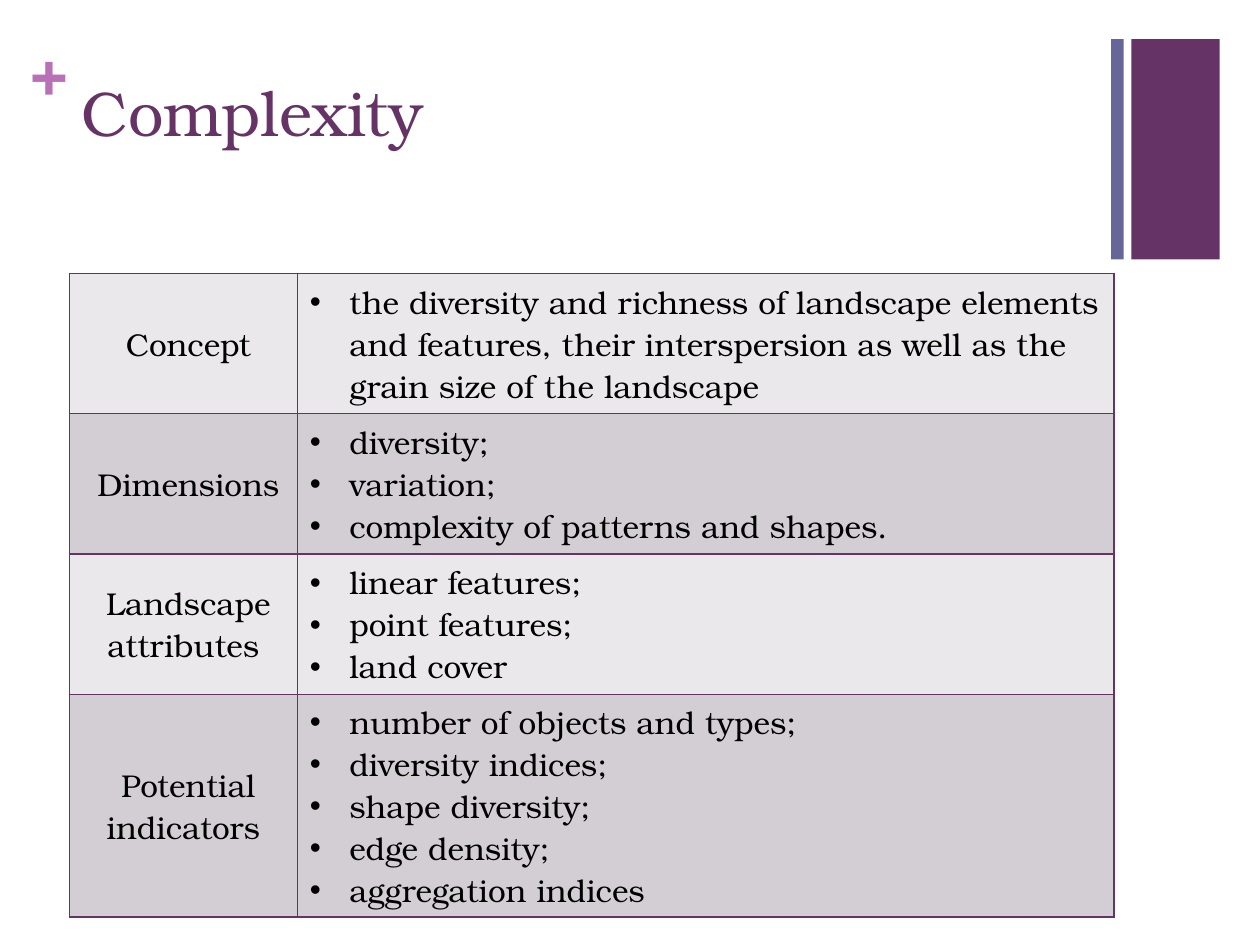
from dataclasses import dataclass

from lxml import etree
from pptx import Presentation
from pptx.dml.color import RGBColor
from pptx.enum import shapes, text
from pptx.oxml import ns
from pptx.util import Pt


@dataclass(frozen=True)
class Theme:
    font: str = "TeX Gyre Bonum"
    plum: str = "663366"
    slate: str = "666699"
    orchid: str = "B870B8"
    ink: str = "000000"
    bands: tuple = ("EAE8EA", "D3CED3")
    head: int = 36
    body: int = 18


THEME = Theme()

ROWS = [
    (" Concept", ["the diversity and richness of landscape elements and features, "
                  "their interspersion as well as the grain size of the landscape"]),
    (" Dimensions", ["diversity;", "variation;", "complexity of patterns and shapes."]),
    (" Landscape attributes", ["linear features;", "point features;", "land cover"]),
    (" Potential indicators", ["number of objects and types;", "diversity indices;",
                               "shape diversity;", "edge density;", "aggregation indices"]),
]


def style(frame, size, color, bold=False):
    for para in frame.paragraphs:
        for run in para.runs:
            font = run.font
            font.name, font.size, font.bold = THEME.font, Pt(size), bold
            font.color.rgb = RGBColor.from_string(color)


def add_bars(slide, left, top, width, height):
    """Draw the thin and the wide bar, split by a gap."""
    thin, gap = 7.2, 4.3
    wide = width - thin - gap
    for x, w, color in ((left, thin, THEME.slate), (left + thin + gap, wide, THEME.plum)):
        bar = slide.shapes.add_shape(
            shapes.MSO_SHAPE.RECTANGLE, Pt(x), Pt(top), Pt(w), Pt(height))
        bar.shadow.inherit = False
        bar.fill.solid()
        bar.fill.fore_color.rgb = RGBColor.from_string(color)
        bar.line.fill.background()


def add_plus(slide, left, top, width, height):
    box = slide.shapes.add_textbox(Pt(left), Pt(top), Pt(width), Pt(height))
    frame = box.text_frame
    frame.margin_left = frame.margin_right = frame.margin_top = frame.margin_bottom = 0
    frame.word_wrap = True
    frame.text = "+"
    style(frame, THEME.head, THEME.orchid, bold=True)


def set_title(slide, words, left, top, width, height):
    title = slide.shapes.title
    title.left, title.top = Pt(left), Pt(top)
    title.width, title.height = Pt(width), Pt(height)
    frame = title.text_frame
    frame.text = words
    frame.vertical_anchor = text.MSO_ANCHOR.TOP
    frame.paragraphs[0].alignment = text.PP_ALIGN.LEFT
    style(frame, THEME.head, THEME.plum)


def add_bullet(para, indent):
    props = para._p.get_or_add_pPr()
    props.set("marL", str(Pt(indent)))
    props.set("indent", str(-Pt(indent)))
    etree.SubElement(props, ns.qn("a:buFont")).set("typeface", "Arial")
    etree.SubElement(props, ns.qn("a:buChar")).set("char", "•")


def add_border(cell, color, width):
    props = cell._tc.get_or_add_tcPr()
    for side in ("a:lnL", "a:lnR", "a:lnT", "a:lnB"):
        line = etree.SubElement(props, ns.qn(side), w=str(Pt(width)))
        fill = etree.SubElement(line, ns.qn("a:solidFill"))
        etree.SubElement(fill, ns.qn("a:srgbClr"), val=color)


def fill_cell(cell, words, band):
    add_border(cell, THEME.plum, 1)
    cell.fill.solid()
    cell.fill.fore_color.rgb = RGBColor.from_string(band)
    cell.vertical_anchor = text.MSO_ANCHOR.MIDDLE
    cell.text_frame.text = words
    style(cell.text_frame, THEME.body, THEME.ink)


def add_grid(slide, left, top, width, height):
    first, low = 130.3, 80.2
    grid = slide.shapes.add_table(
        len(ROWS), 2, Pt(left), Pt(top), Pt(width), Pt(height)).table
    grid.first_row = grid.horz_banding = False
    grid.columns[0].width, grid.columns[1].width = Pt(first), Pt(width - first)
    tall = height - low * (len(ROWS) - 1)
    for i, (label, points) in enumerate(ROWS):
        grid.rows[i].height = Pt(tall if i == len(ROWS) - 1 else low)
        band = THEME.bands[i % 2]
        name, items = grid.cell(i, 0), grid.cell(i, 1)
        fill_cell(name, label, band)
        name.text_frame.paragraphs[0].alignment = text.PP_ALIGN.CENTER
        fill_cell(items, "\n".join(points), band)
        for para in items.text_frame.paragraphs:
            add_bullet(para, 22.5)


def main():
    deck = Presentation()
    deck.slide_width, deck.slide_height = Pt(720), Pt(540)
    slide = deck.slides.add_slide(deck.slide_layouts[5])
    add_bars(slide, 635, 22.3, 62, 126)
    add_plus(slide, 17.3, 18, 21, 44)
    set_title(slide, "Complexity", 39.6, 38.2, 594.7, 87.8)
    add_grid(slide, 39.6, 156.2, 596.9, 367.8)
    deck.save("out.pptx")


if __name__ == "__main__":
    main()
